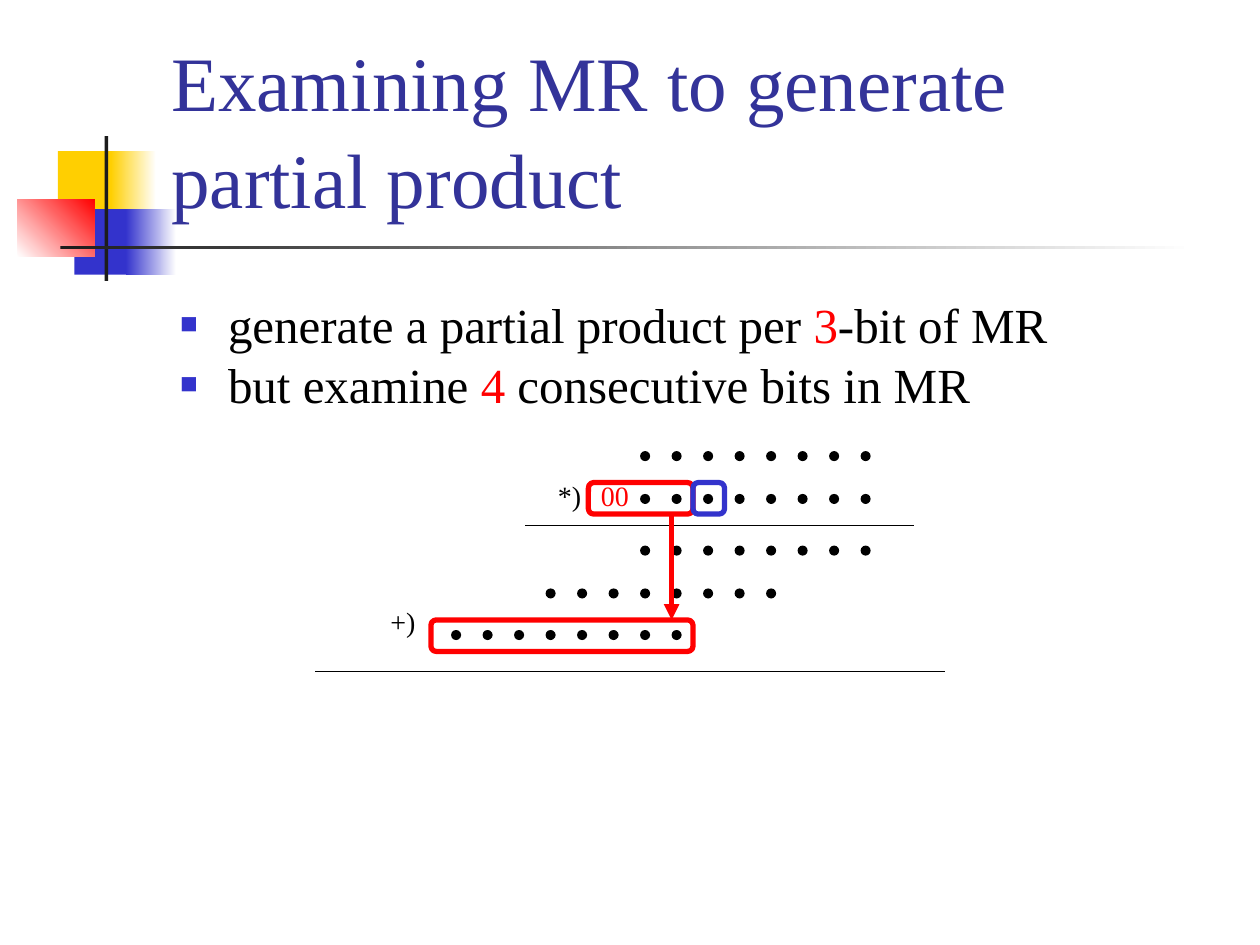
from dataclasses import dataclass

from lxml.etree import SubElement
from pptx import Presentation
from pptx.dml.color import RGBColor
from pptx.enum.shapes import MSO_CONNECTOR, MSO_SHAPE
from pptx.enum.text import MSO_ANCHOR, MSO_AUTO_SIZE, PP_ALIGN
from pptx.oxml.ns import qn
from pptx.util import Inches, Pt


@dataclass(frozen=True)
class Theme:
    font: str = "Times New Roman"
    title_size: int = 44
    body_size: int = 28
    label_size: int = 16
    title: str = "333399"
    text: str = "000000"
    red: str = "FF0000"
    blue: str = "3333CC"
    yellow: str = "FFCF01"
    dark: str = "1C1C1C"
    white: str = "FFFFFF"


theme = Theme()


def write(paragraph, text, *, size, color=theme.text):
    run = paragraph.add_run()
    run.text = text
    run.font.name = theme.font
    run.font.size = Pt(size)
    run.font.color.rgb = RGBColor.from_string(color)


def draw_line(shapes, start, end, *, color=theme.text, width=0.75):
    line = shapes.add_connector(MSO_CONNECTOR.STRAIGHT, *map(Inches, start + end))
    line.line.color.rgb = RGBColor.from_string(color)
    line.line.width = Pt(width)
    SubElement(line.element.spPr, qn("a:effectLst"))
    return line


prs = Presentation()
prs.slide_width, prs.slide_height = Inches(10), Inches(7.5)
slide = prs.slides.add_slide(prs.slide_layouts[1])

decorations = [
    ((0.46, 1.2, 0.48, 0.52), [theme.yellow], 0),
    ((0.88, 1.2, 0.36, 0.52), [theme.yellow, theme.white], 0),
    ((0.59, 1.66, 0.46, 0.52), [theme.blue], 0),
    ((1, 1.66, 0.4, 0.52), [theme.blue, theme.white], 0),
    ((0.14, 1.58, 0.61, 0.46), [theme.white, theme.red], 45),
    ((0.83, 1.08, 0.03, 1.15), [theme.dark], 0),
    ((0.48, 1.95, 9, 0.03), [theme.dark, theme.white], 0),
]
for bounds, colors, angle in decorations:
    block = slide.shapes.add_shape(MSO_SHAPE.RECTANGLE, *map(Inches, bounds))
    block.shadow.inherit = False
    block.line.fill.background()
    if len(colors) == 1:
        block.fill.solid()
        block.fill.fore_color.rgb = RGBColor.from_string(colors[0])
    else:
        block.fill.gradient()
        block.fill.gradient_angle = angle
        for stop, color in zip(block.fill.gradient_stops, colors):
            stop.color.rgb = RGBColor.from_string(color)

title, body = slide.shapes.title, slide.placeholders[1]
for holder, bounds in ((title, (1.26, 0.23, 8.52, 1.6)), (body, (1.33, 2.33, 8.5, 0.96))):
    holder.left, holder.top, holder.width, holder.height = map(Inches, bounds)
    holder.text_frame.auto_size = MSO_AUTO_SIZE.NONE
    holder.text_frame.word_wrap = True
    holder.element.getparent().append(holder.element)

title.text_frame.vertical_anchor = MSO_ANCHOR.BOTTOM
heading = title.text_frame.paragraphs[0]
heading.alignment = PP_ALIGN.LEFT
heading.line_spacing = 1.05
write(heading, "Examining MR to generate partial product", size=theme.title_size, color=theme.title)

body.text_frame.margin_top = Inches(0.1)
points = [
    ("generate a partial product per ", "3", "-bit of MR"),
    ("but examine ", "4", " consecutive bits in MR"),
]
for index, (before, number, after) in enumerate(points):
    point = body.text_frame.add_paragraph() if index else body.text_frame.paragraphs[0]
    properties = point._p.get_or_add_pPr()
    properties.set("marL", str(Inches(0.38)))
    properties.set("indent", str(-Inches(0.38)))
    bullet_color = SubElement(properties, qn("a:buClr"))
    SubElement(bullet_color, qn("a:srgbClr"), val=theme.blue)
    SubElement(properties, qn("a:buSzPct"), val="60000")
    SubElement(properties, qn("a:buFont"), typeface=theme.font)
    SubElement(properties, qn("a:buChar"), char="■")
    point.line_spacing = 0.8
    point.space_before = Pt(7 if index else 0)
    write(point, before, size=theme.body_size)
    write(point, number, size=theme.body_size, color=theme.red)
    write(point, after, size=theme.body_size)

multiplication = slide.shapes.add_group_shape().shapes
draw_line(multiplication, (4.17, 4.17), (7.25, 4.17))
draw_line(multiplication, (2.5, 5.33), (7.5, 5.33))

bit_pitch = 0.25
for top, shift in ((3.58, 0), (3.92, 0), (4.33, 0), (4.67, 3), (5, 6)):
    for bit in range(8):
        left = 5.08 + (bit - shift) * bit_pitch
        dot = multiplication.add_shape(
            MSO_SHAPE.OVAL, Inches(left), Inches(top), Inches(0.08), Inches(0.08))
        dot.shadow.inherit = False
        dot.fill.solid()
        dot.fill.fore_color.rgb = RGBColor.from_string(theme.text)
        dot.line.fill.background()

for bounds, color in (
    ((4.67, 3.83, 0.83, 0.25), theme.red),
    ((3.42, 4.92, 2.08, 0.25), theme.red),
    ((5.5, 3.83, 0.25, 0.25), theme.blue),
):
    frame = slide.shapes.add_shape(MSO_SHAPE.ROUNDED_RECTANGLE, *map(Inches, bounds))
    frame.adjustments[0] = 0.17
    frame.shadow.inherit = False
    frame.fill.background()
    frame.line.color.rgb = RGBColor.from_string(color)
    frame.line.width = Pt(3)

arrow = draw_line(slide.shapes, (5.33, 4.08), (5.33, 4.92), color=theme.red, width=3)
SubElement(arrow.line._get_or_add_ln(), qn("a:tailEnd"), type="triangle")

for shapes, text, bounds, color in (
    (multiplication, "*)", (4.33, 3.75, 0.39, 0.37), theme.text),
    (multiplication, "+)", (3, 4.75, 0.4, 0.37), theme.text),
    (slide.shapes, "00", (4.67, 3.75, 0.42, 0.37), theme.red),
):
    label = shapes.add_textbox(*map(Inches, bounds)).text_frame
    label.word_wrap = False
    label.auto_size = MSO_AUTO_SIZE.SHAPE_TO_FIT_TEXT
    write(label.paragraphs[0], text, size=theme.label_size, color=color)

prs.save("out.pptx")
